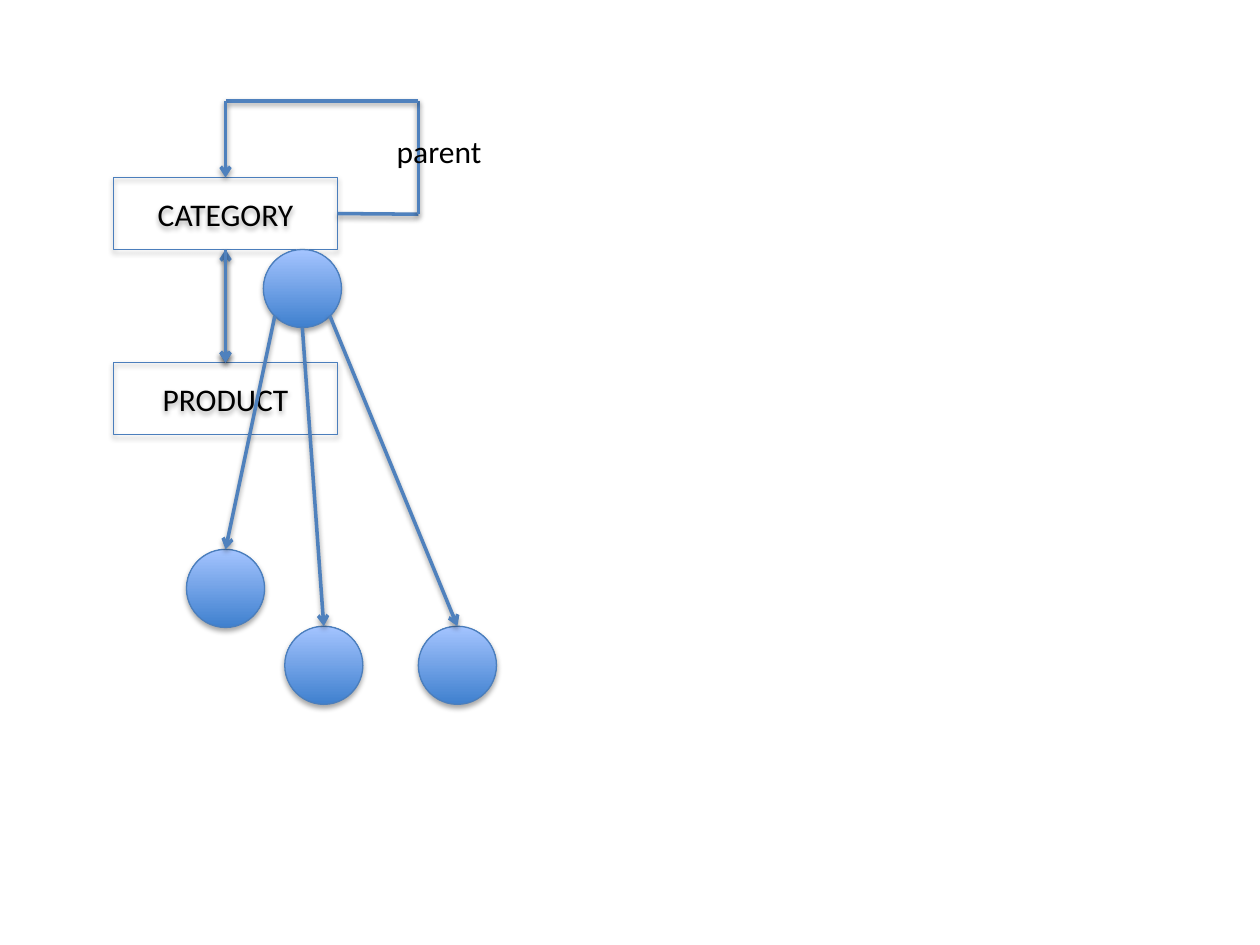
from math import sqrt
from lxml import etree
from pptx import Presentation
from pptx.dml.color import RGBColor
from pptx.enum.shapes import MSO_CONNECTOR, MSO_SHAPE
from pptx.enum.text import MSO_ANCHOR, MSO_AUTO_SIZE, PP_ALIGN
from pptx.oxml.ns import qn
from pptx.util import Inches, Pt

RECT, OVAL = MSO_SHAPE.RECTANGLE, MSO_SHAPE.OVAL
STRAIGHT = MSO_CONNECTOR.STRAIGHT
MIDDLE, CENTER = MSO_ANCHOR.MIDDLE, PP_ALIGN.CENTER
FIT_SHAPE = MSO_AUTO_SIZE.SHAPE_TO_FIT_TEXT
TOP, RIGHT, BOTTOM = 0, 3, 2

THEME = {
    "font": "Calibri", "size": 18, "text": "000000",
    "outline": "4B7EBC", "outline_width": 0.75,
    "link": "4F81BD", "link_width": 2,
    "gradient": ("3F80CE", "A4C4FF"),
    "shape_shadow": (35, 1.8), "link_shadow": (38, 1.6), "shadow_blur": 3.1,
}

BOX_LEFT, BOX_WIDTH, BOX_HEIGHT = 0.9, 1.78, 0.57
ENTITIES = [("CATEGORY", 1.41), ("PRODUCT", 2.88)]
DIAMETER = 0.62
ROOT = (2.09, 1.98)
CHILDREN = [(1.48, 4.36), (2.26, 4.97), (3.32, 4.97)]
LOOP_TOP, LOOP_RIGHT = 0.8, 3.32
LOOP_LABEL = ("parent", 3.05, 1, 0.88, 0.4)

prs = Presentation()
prs.slide_width, prs.slide_height = Inches(10), Inches(7.5)
slide = prs.slides.add_slide(prs.slide_layouts[6])


def rgb(name):
    return RGBColor.from_string(name)


def add_shadow(part, opacity, distance):
    effects = etree.SubElement(part._element.spPr, qn("a:effectLst"))
    shadow = etree.SubElement(
        effects, qn("a:outerShdw"), blurRad=str(Pt(THEME["shadow_blur"])),
        dist=str(Pt(distance)), dir="5400000", rotWithShape="0")
    colour = etree.SubElement(shadow, qn("a:srgbClr"), val="000000")
    etree.SubElement(colour, qn("a:alpha"), val=str(opacity * 1000))


def add_outlined(kind, left, top, width, height):
    part = slide.shapes.add_shape(
        kind, Inches(left), Inches(top), Inches(width), Inches(height))
    part.line.color.rgb = rgb(THEME["outline"])
    part.line.width = Pt(THEME["outline_width"])
    add_shadow(part, *THEME["shape_shadow"])
    return part


def write(part, words, align=None):
    paragraph = part.text_frame.paragraphs[0]
    paragraph.text = words
    paragraph.alignment = align
    paragraph.font.name = THEME["font"]
    paragraph.font.size = Pt(THEME["size"])
    paragraph.font.color.rgb = rgb(THEME["text"])


def add_entity(words, top):
    box = add_outlined(RECT, BOX_LEFT, top, BOX_WIDTH, BOX_HEIGHT)
    box.fill.background()
    box.text_frame.vertical_anchor = MIDDLE
    write(box, words, CENTER)
    return box


def add_node(left, top):
    node = add_outlined(OVAL, left, top, DIAMETER, DIAMETER)
    node.fill.gradient()
    node.fill.gradient_angle = 90
    for stop, colour in zip(node.fill.gradient_stops, THEME["gradient"]):
        stop.color.rgb = rgb(colour)
    return node


def add_link(start, end, begin=None, finish=None, arrows=()):
    link = slide.shapes.add_connector(
        STRAIGHT, *(Inches(value) for value in (*start, *end)))
    if begin:
        link.begin_connect(*begin)
    if finish:
        link.end_connect(*finish)
    link.line.color.rgb = rgb(THEME["link"])
    link.line.width = Pt(THEME["link_width"])
    for arrow in arrows:
        etree.SubElement(link.line._get_or_add_ln(), qn(arrow), type="arrow")
    add_shadow(link, *THEME["link_shadow"])


HEAD, TAIL = "a:headEnd", "a:tailEnd"
category, product = [add_entity(*entity) for entity in ENTITIES]
category_top, product_top = [top for _, top in ENTITIES]
axis = BOX_LEFT + BOX_WIDTH / 2

for arrows in [(HEAD, TAIL), (TAIL,)]:
    add_link((axis, category_top + BOX_HEIGHT), (axis, product_top),
             (category, BOTTOM), (product, TOP), arrows)

children = [add_node(*place) for place in CHILDREN]
root = add_node(*ROOT)

radius = DIAMETER / 2
root_x, root_y = ROOT[0] + radius, ROOT[1] + radius
diagonal = radius / sqrt(2)
exits = [(-diagonal, diagonal), (0, radius), (diagonal, diagonal)]
for (dx, dy), child, (left, top) in zip(exits, children, CHILDREN):
    add_link((root_x + dx, root_y + dy), (left + radius, top),
             (root, BOTTOM) if dx == 0 else None, (child, TOP), (TAIL,))
    
loop = [(BOX_LEFT + BOX_WIDTH, category_top + BOX_HEIGHT / 2), (LOOP_RIGHT, 1.7),
        (LOOP_RIGHT, LOOP_TOP), (axis, LOOP_TOP), (axis, category_top)]
last = len(loop) - 2
for i, (start, end) in enumerate(zip(loop, loop[1:])):
    add_link(start, end,
             (category, RIGHT) if i == 0 else None,
             (category, TOP) if i == last else None,
             (TAIL,) if i == last else ())

words, *place = LOOP_LABEL
label = slide.shapes.add_textbox(*(Inches(value) for value in place))
label.text_frame.word_wrap = False
label.text_frame.auto_size = FIT_SHAPE
write(label, words)

prs.save("out.pptx")
